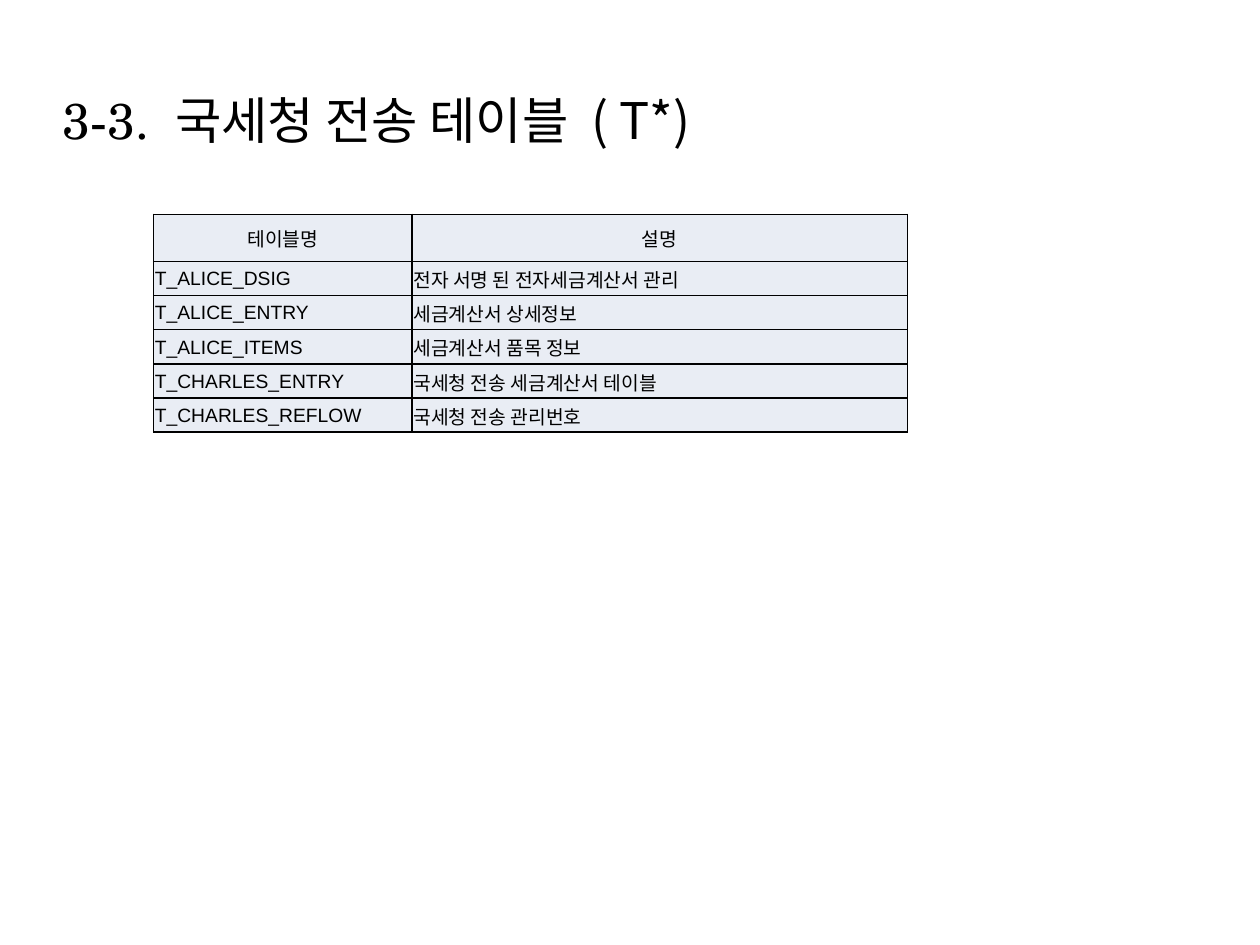
import pptx
import pptx.dml.color
import pptx.enum.text
import pptx.oxml
import pptx.oxml.ns
import pptx.util
from lxml import etree

Pt = pptx.util.Pt
Align = pptx.enum.text.PP_ALIGN
Anchor = pptx.enum.text.MSO_ANCHOR

THEME = {
    "text": "000000",
    "cell": "E9EDF4",
    "border": "000000",
    "title_size": 28.8,
    "table_size": 11,
    "number_font": "TeX Gyre Schola",
    "korean_font": "Noto Sans CJK KR",
    "table_font": "Arial",
    "border_width": 1,
    "wide_gap": 6.5,
}

TITLE_RUNS = [
    ("3-3.", "number_font", 0),
    (" ", "number_font", THEME["wide_gap"]),
    ("국세청 전송 테이블", "korean_font", 0),
    (" ", "korean_font", THEME["wide_gap"]),
    ("( T*)", "korean_font", 0),
]
HEADER = ("테이블명", "설명")
ROWS = [
    ("T_ALICE_DSIG", "전자 서명 된 전자세금계산서 관리"),
    ("T_ALICE_ENTRY", "세금계산서 상세정보"),
    ("T_ALICE_ITEMS", "세금계산서 품목 정보"),
    ("T_CHARLES_ENTRY", "국세청 전송 세금계산서 테이블"),
    ("T_CHARLES_REFLOW", "국세청 전송 관리번호"),
]

SLIDE_SIZE = (720, 540)
TITLE_BOX = (28.8, 47.5, 682.5, 41)
TABLE_ORIGIN = (87.8, 122.5)
COLUMN_WIDTHS = (147.7, 283)
HEADER_HEIGHT = 26.8
ROW_HEIGHT = 19.55


def color(name):
    return pptx.dml.color.RGBColor.from_string(THEME[name])


def add_run(paragraph, text, size, font, spacing=0):
    run = paragraph.add_run()
    run.text = text
    run.font.size = Pt(THEME[size])
    run.font.name = THEME[font]
    run.font.color.rgb = color("text")
    properties = run.font._element
    east_asian = etree.SubElement(properties, pptx.oxml.ns.qn("a:ea"))
    east_asian.set("typeface", THEME["korean_font"])
    if spacing:
        properties.set("spc", str(int(spacing * 100)))


def set_borders(cell):
    properties = cell._tc.get_or_add_tcPr()
    for position, side in enumerate(("lnL", "lnR", "lnT", "lnB")):
        line = pptx.oxml.parse_xml(
            f'<a:{side} {pptx.oxml.ns.nsdecls("a")} w="{Pt(THEME["border_width"])}">'
            f'<a:solidFill><a:srgbClr val="{THEME["border"]}"/></a:solidFill></a:{side}>'
        )
        properties.insert(position, line)


def add_title(slide):
    frame = slide.shapes.add_textbox(*map(Pt, TITLE_BOX)).text_frame
    frame.word_wrap = True
    frame.vertical_anchor = Anchor.MIDDLE
    for text, font, spacing in TITLE_RUNS:
        add_run(frame.paragraphs[0], text, "title_size", font, spacing)


def fill_cell(cell, text, alignment):
    cell.margin_left = cell.margin_right = cell.margin_top = Pt(0.7)
    cell.margin_bottom = Pt(0)
    cell.vertical_anchor = Anchor.MIDDLE
    cell.fill.solid()
    cell.fill.fore_color.rgb = color("cell")
    set_borders(cell)
    paragraph = cell.text_frame.paragraphs[0]
    paragraph.alignment = alignment
    add_run(paragraph, text, "table_size", "table_font")


def add_table(slide):
    content = [HEADER, *ROWS]
    heights = [HEADER_HEIGHT] + [ROW_HEIGHT] * len(ROWS)
    size = (sum(COLUMN_WIDTHS), sum(heights))
    table = slide.shapes.add_table(
        len(content), len(HEADER), *map(Pt, TABLE_ORIGIN + size)
    ).table
    for column, width in zip(table.columns, COLUMN_WIDTHS):
        column.width = Pt(width)
    for index, (row, height) in enumerate(zip(table.rows, heights)):
        row.height = Pt(height)
        alignment = Align.LEFT if index else Align.CENTER
        for cell, text in zip(row.cells, content[index]):
            fill_cell(cell, text, alignment)


def main():
    presentation = pptx.Presentation()
    presentation.slide_width, presentation.slide_height = map(Pt, SLIDE_SIZE)
    slide = presentation.slides.add_slide(presentation.slide_layouts[6])
    add_title(slide)
    add_table(slide)
    presentation.save("out.pptx")


if __name__ == "__main__":
    main()
